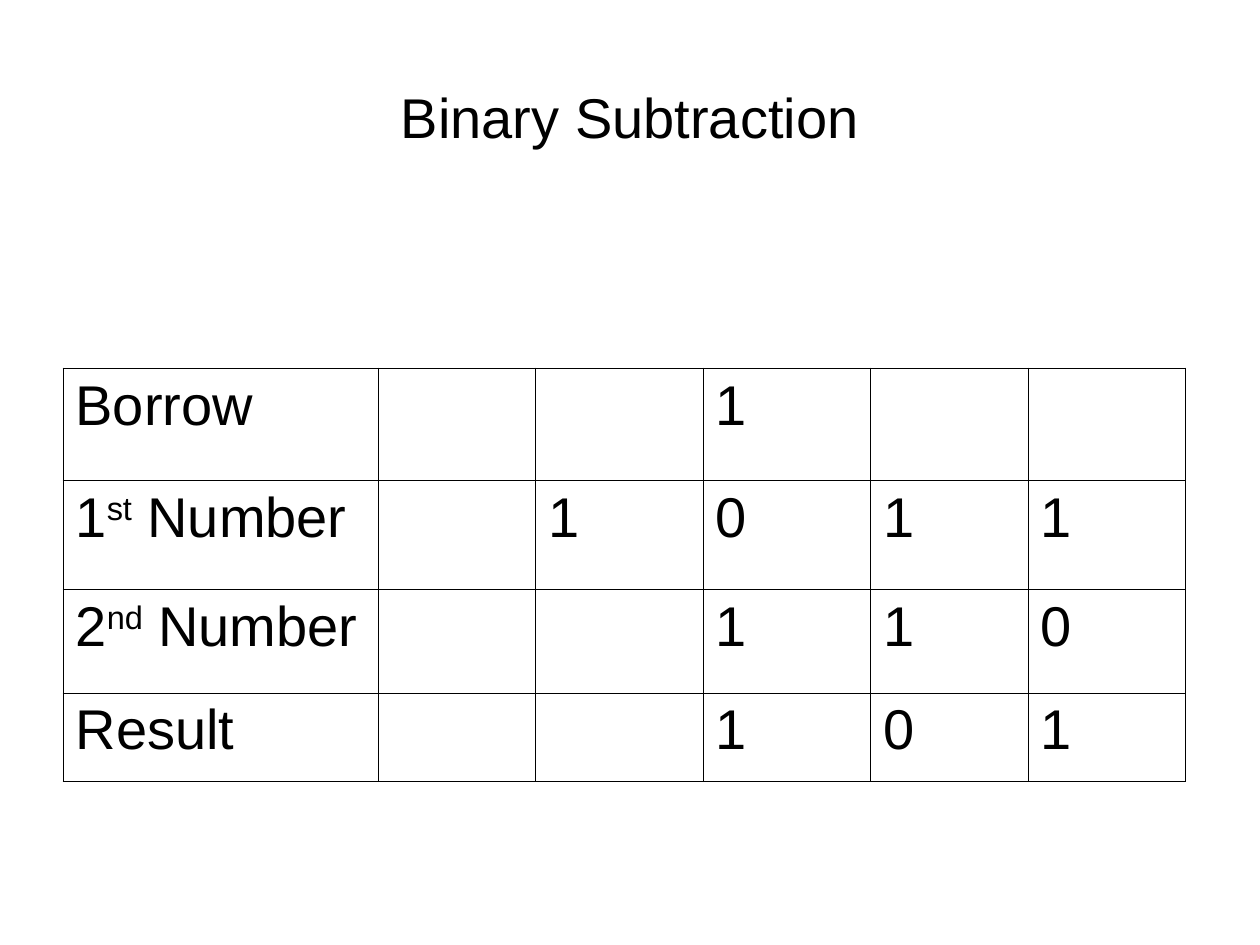
from lxml.etree import SubElement
from pptx import Presentation
from pptx.dml.color import RGBColor
from pptx.enum.text import MSO_ANCHOR, PP_ALIGN
from pptx.oxml.ns import qn
from pptx.util import Inches, Pt

COLORS = {"ink": "000000"}
FONT = {"name": "Arial", "size": Pt(32), "bold": False}
COLS = [2.5, 1.25, 1.33, 1.33, 1.25, 1.25]
ROWS = [0.89, 0.87, 0.82, 0.7]
# Each label is a list of (text, raised) runs; digits fill the other columns.
LABELS = [
    [("Borrow", False)],
    [("1", False), ("st", True), (" Number", False)],
    [("2", False), ("nd", True), (" Number", False)],
    [("Result", False)],
]
DIGITS = ["  1  ", " 1011", "  110", "  101"]


def add_run(para, text, raised=False):
    run = para.add_run()
    run.text = text
    for key, value in FONT.items():
        setattr(run.font, key, value)
    run.font.color.rgb = RGBColor.from_string(COLORS["ink"])
    if raised:
        run.font._element.set("baseline", "30000")


def add_title(slide):
    title = slide.shapes.title
    box = {"left": 0.5, "top": 0.3, "width": 9, "height": 1.25}
    for key, value in box.items():
        setattr(title, key, Inches(value))
    frame = title.text_frame
    frame.vertical_anchor = MSO_ANCHOR.MIDDLE
    para = frame.paragraphs[0]
    para.alignment = PP_ALIGN.CENTER
    add_run(para, "Binary Subtraction")


def add_edges(cell):
    props = cell._tc.get_or_add_tcPr()
    for side in ("lnL", "lnR", "lnT", "lnB"):
        line = SubElement(props, qn(f"a:{side}"), w=str(Pt(0.45)))
        fill = SubElement(line, qn("a:solidFill"))
        SubElement(fill, qn("a:srgbClr"), val=COLORS["ink"])


def fill_cell(cell, runs):
    add_edges(cell)
    cell.fill.background()
    if not runs:
        return
    para = cell.text_frame.paragraphs[0]
    para.alignment = PP_ALIGN.JUSTIFY
    props = para._p.get_or_add_pPr()
    hang = Inches(0.38)
    props.set("marL", str(hang))
    props.set("indent", str(-hang))
    for text, raised in runs:
        add_run(para, text, raised)


def add_sums(slide):
    table = slide.shapes.add_table(
        len(ROWS), len(COLS), Inches(0.5), Inches(2.92),
        Inches(sum(COLS)), Inches(sum(ROWS))).table
    table.first_row = table.horz_banding = False
    for col, width in zip(table.columns, COLS):
        col.width = Inches(width)
    for row, height, label, digits in zip(table.rows, ROWS, LABELS, DIGITS):
        row.height = Inches(height)
        parts = [label] + [[(d, False)] if d.strip() else [] for d in digits]
        for cell, runs in zip(row.cells, parts):
            fill_cell(cell, runs)


def main():
    deck = Presentation()
    deck.slide_width, deck.slide_height = Inches(10), Inches(7.5)
    slide = deck.slides.add_slide(deck.slide_layouts[5])
    add_title(slide)
    add_sums(slide)
    deck.save("out.pptx")


if __name__ == "__main__":
    main()
